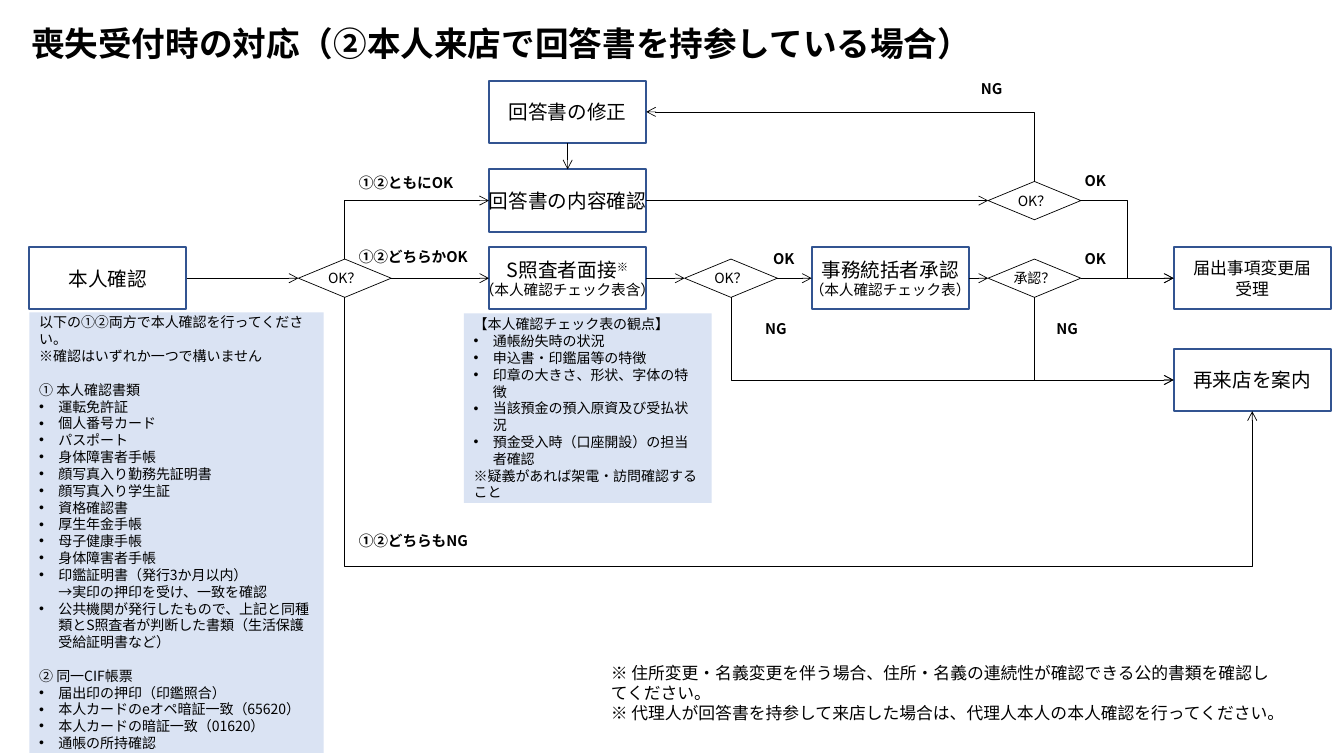
from lxml import etree
from pptx import Presentation
from pptx import util as u
from pptx.dml.color import RGBColor
from pptx.enum import shapes, text
from pptx.oxml.ns import qn

PX = 9144
FONT = "Noto Sans CJK JP"
BLACK = RGBColor(0x00, 0x00, 0x00)
WHITE = RGBColor(0xFF, 0xFF, 0xFF)
BLUE = RGBColor(0x32, 0x54, 0x91)
PALE_BLUE = RGBColor(0xDA, 0xE3, 0xF3)
TOP, LEFT, BOTTOM, RIGHT = range(4)
BULLET = "•"
BULLET_INDENT = 19
PROCESS_WIDTH, PROCESS_HEIGHT = 156, 62
DECISION_WIDTH, DECISION_HEIGHT = 92, 38

IDENTITY_CHECKS = [
    "以下の①②両方で本人確認を行ってください。",
    "※確認はいずれか一つで構いません",
    "① 本人確認書類",
    "•運転免許証",
    "•個人番号カード",
    "•パスポート",
    "•身体障害者手帳",
    "•顔写真入り勤務先証明書",
    "•顔写真入り学生証",
    "•資格確認書",
    "•厚生年金手帳",
    "•母子健康手帳",
    "•身体障害者手帳",
    "•印鑑証明書（発行3か月以内）\v→実印の押印を受け、一致を確認",
    "•公共機関が発行したもので、上記と同種類とS照査者が判断した書類（生活保護受給証明書など）",
    "② 同一CIF帳票",
    "•届出印の押印（印鑑照合）",
    "•本人カードのeオペ暗証一致（65620）",
    "•本人カードの暗証一致（01620）",
    "•通帳の所持確認",
]
CHECKLIST_POINTS = [
    "【本人確認チェック表の観点】",
    "•通帳紛失時の状況",
    "•申込書・印鑑届等の特徴",
    "•印章の大きさ、形状、字体の特徴",
    "•当該預金の預入原資及び受払状況",
    "•預金受入時（口座開設）の担当者確認",
    "※疑義があれば架電・訪問確認すること",
]
REMARKS = [
    "※ 住所変更・名義変更を伴う場合、住所・名義の連続性が確認できる公的書類を確認してください。",
    "※ 代理人が回答書を持参して来店した場合は、代理人本人の本人確認を行ってください。",
]
LABELS = [
    ("①②ともにOK", 346, 165, 131, False),
    ("①②どちらかOK", 346, 239, 131, False),
    ("①②どちらもNG", 346, 520, 131, False),
    ("NG", 749, 310, 65, False),
    ("OK", 757, 241, 65, False),
    ("NG", 1038, 310, 65, True),
    ("OK", 1066, 241, 65, True),
    ("OK", 1066, 163, 65, True),
    ("NG", 963, 72, 65, True),
]


def px(*lengths):
    return [u.Emu(length * PX) for length in lengths]


def style_paragraph(paragraph, size, bold=False):
    font = paragraph.font
    font.name, font.size, font.bold = FONT, u.Pt(size), bold
    font.color.rgb = BLACK
    defaults = paragraph._p.pPr.find(qn("a:defRPr"))
    etree.SubElement(defaults, qn("a:ea"), typeface=FONT)


def add_bullet(paragraph):
    properties = paragraph._p.get_or_add_pPr()
    properties.set("marL", str(BULLET_INDENT * PX))
    properties.set("indent", str(-BULLET_INDENT * PX))
    etree.SubElement(properties, qn("a:buFont"), typeface="Arial")
    etree.SubElement(properties, qn("a:buChar"), char=BULLET)


def write_lines(shape, lines, sizes, align=None, bold=False, wrap=True):
    frame = shape.text_frame
    frame.word_wrap = wrap
    frame.vertical_anchor = text.MSO_ANCHOR.MIDDLE
    for index, (line, size) in enumerate(zip(lines, sizes)):
        paragraph = frame.paragraphs[0] if index == 0 else frame.add_paragraph()
        paragraph.text = line.removeprefix(BULLET)
        paragraph.alignment = align
        if line.startswith(BULLET):
            add_bullet(paragraph)
        elif line[:2] in ("① ", "② "):
            paragraph.space_before = u.Pt(12)
        style_paragraph(paragraph, size, bold)


def add_text(slide, box, lines, size, bold=False, fill=None):
    shape = slide.shapes.add_textbox(*px(*box))
    if fill is not None:
        shape.fill.solid()
        shape.fill.fore_color.rgb = fill
    write_lines(shape, lines, [size] * len(lines), bold=bold)
    return shape


def add_process(slide, left, top, lines, sizes, wrap=False):
    shape = slide.shapes.add_shape(
        shapes.MSO_SHAPE.RECTANGLE, *px(left, top, PROCESS_WIDTH, PROCESS_HEIGHT))
    shape.shadow.inherit = False
    shape.fill.solid()
    shape.fill.fore_color.rgb = WHITE
    shape.line.color.rgb = BLUE
    shape.line.width = u.Pt(1.5)
    write_lines(shape, lines, sizes, text.PP_ALIGN.CENTER, wrap=wrap)
    return shape


def add_decision(slide, left, row_top, caption):
    top = row_top + (PROCESS_HEIGHT - DECISION_HEIGHT) // 2
    shape = slide.shapes.add_shape(
        shapes.MSO_SHAPE.FLOWCHART_DECISION, *px(left, top, DECISION_WIDTH, DECISION_HEIGHT))
    shape.shadow.inherit = False
    shape.fill.background()
    shape.line.color.rgb = BLACK
    shape.line.width = u.Pt(0.5)
    write_lines(shape, [caption], [10], text.PP_ALIGN.CENTER, wrap=False)
    return shape


def add_link(slide, kind, source, source_side, target, target_side, arrow="tailEnd"):
    connector = slide.shapes.add_connector(kind, 0, 0, 0, 0)
    connector.begin_connect(source, source_side)
    connector.end_connect(target, target_side)
    connector.line.color.rgb = BLACK
    connector.line.width = u.Pt(0.5)
    properties = connector._element.spPr
    etree.SubElement(properties.find(qn("a:ln")), qn("a:" + arrow), type="arrow")
    etree.SubElement(properties, qn("a:effectLst"))
    return connector


def add_arrow(slide, source, source_side, target, target_side):
    add_link(slide, shapes.MSO_CONNECTOR.STRAIGHT, source, source_side, target, target_side)


def add_corner(slide, source, source_side, target, target_side):
    connector = add_link(slide, shapes.MSO_CONNECTOR.ELBOW, target, target_side,
                         source, source_side, "headEnd")
    connector._element.spPr.find(qn("a:prstGeom")).set("prst", "bentConnector2")


def add_detour(slide, source, target, lane):
    connector = add_link(slide, shapes.MSO_CONNECTOR.ELBOW, source, BOTTOM, target, BOTTOM)
    start, span, drop = connector.begin_y, connector.width, connector.height
    center_x, center_y = connector.left + span // 2, connector.top + drop // 2
    connector.left, connector.top = center_x - drop // 2, center_y - span // 2
    connector.width, connector.height = drop, span
    properties = connector._element.spPr
    frame = properties.find(qn("a:xfrm"))
    frame.set("rot", "16200000")
    frame.set("flipH", "1")
    guides = properties.find(qn("a:prstGeom")).find(qn("a:avLst"))
    bend = round((lane * PX - start) / drop * 100000)
    etree.SubElement(guides, qn("a:gd"), name="adj1", fmla=f"val {bend}")


def add_flow(slide):
    fix_row, review_row, main_row, return_row = 80, 168, 245, 346
    identity = add_process(slide, 29, main_row, ["本人確認"], [14], wrap=True)
    fix = add_process(slide, 485, fix_row, ["回答書の修正"], [14])
    review = add_process(slide, 485, review_row, ["回答書の内容確認"], [14])
    interview = add_process(slide, 485, main_row, ["S照査者面接", "（本人確認チェック表含）"], [14, 10.5])
    mark = interview.text_frame.paragraphs[0].add_run()
    mark.text = "※"
    mark._r.get_or_add_rPr().set("baseline", "30000")
    approval = add_process(slide, 805, main_row, ["事務統括者承認", "（本人確認チェック表）"], [14, 10.5])
    accepted = add_process(slide, 1164, main_row, ["届出事項変更届", "受理"], [12, 12], wrap=True)
    revisit = add_process(slide, 1164, return_row, ["再来店を案内"], [14], wrap=True)
    identity_ok = add_decision(slide, 296, main_row, "OK？")
    interview_ok = add_decision(slide, 679, main_row, "OK？")
    approved = add_decision(slide, 980, main_row, "承認？")
    review_ok = add_decision(slide, 980, review_row, "OK？")

    main_steps = [identity, identity_ok, interview, interview_ok, approval, approved, accepted]
    for source, target in [*zip(main_steps, main_steps[1:]), (review, review_ok)]:
        add_arrow(slide, source, RIGHT, target, LEFT)
    add_arrow(slide, fix, BOTTOM, review, TOP)
    add_corner(slide, identity_ok, TOP, review, LEFT)
    add_corner(slide, review_ok, TOP, fix, RIGHT)
    add_corner(slide, interview_ok, BOTTOM, revisit, LEFT)
    add_corner(slide, approved, BOTTOM, revisit, LEFT)
    add_link(slide, shapes.MSO_CONNECTOR.ELBOW, review_ok, RIGHT, accepted, LEFT)
    add_detour(slide, identity_ok, revisit, 562)


def main():
    presentation = Presentation()
    presentation.slide_width, presentation.slide_height = px(1333, 750)
    slide = presentation.slides.add_slide(presentation.slide_layouts[6])
    title = add_text(slide, (21, 11, 1150, 68),
                     ["喪失受付時の対応（②本人来店で回答書を持参している場合）"], 24, bold=True)
    title.text_frame.paragraphs[0].line_spacing = 0.9
    add_text(slide, (29, 310, 292, 437), IDENTITY_CHECKS, 10, fill=PALE_BLUE)
    add_text(slide, (460, 311, 246, 188), CHECKLIST_POINTS, 10, fill=PALE_BLUE)
    add_text(slide, (596, 664, 684, 47), REMARKS, 12)
    for caption, left, top, width, filled in LABELS:
        add_text(slide, (left, top, width, 32), [caption], 10.5, bold=True,
                 fill=WHITE if filled else None)
    add_flow(slide)
    presentation.save("out.pptx")


if __name__ == "__main__":
    main()
